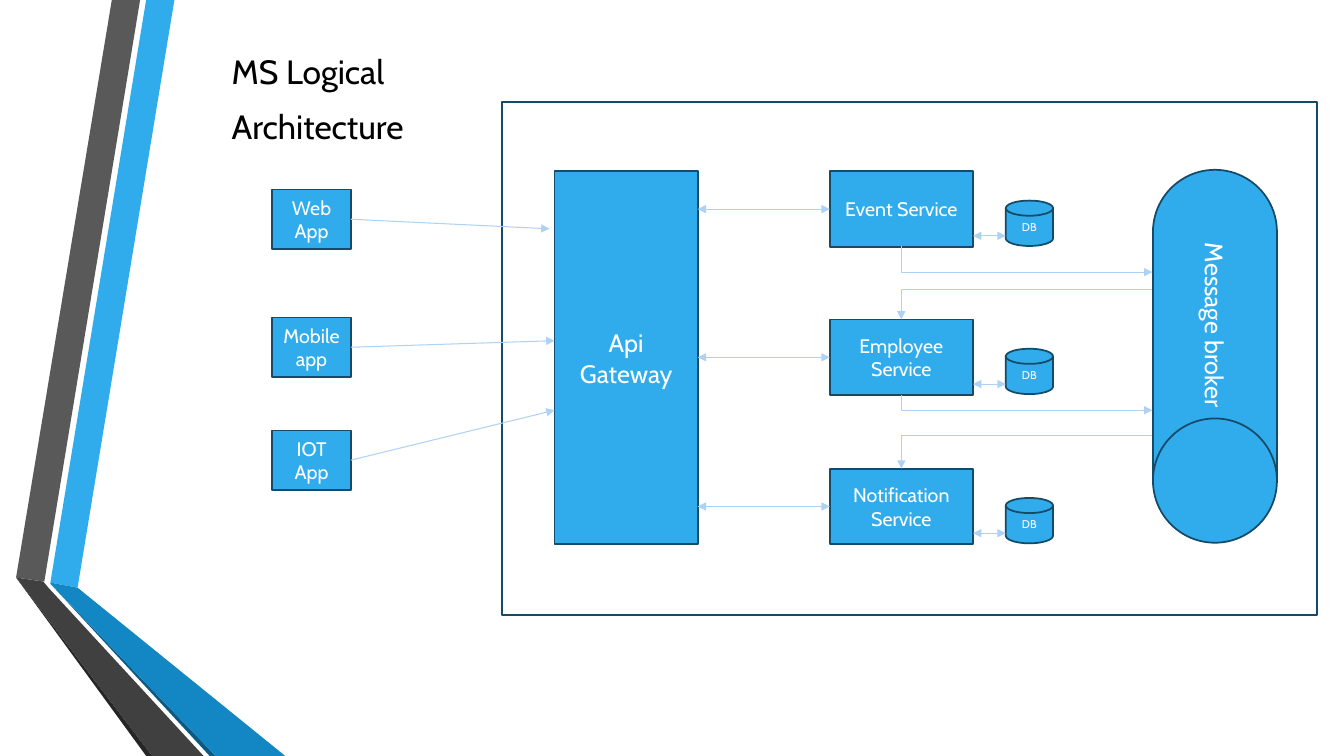
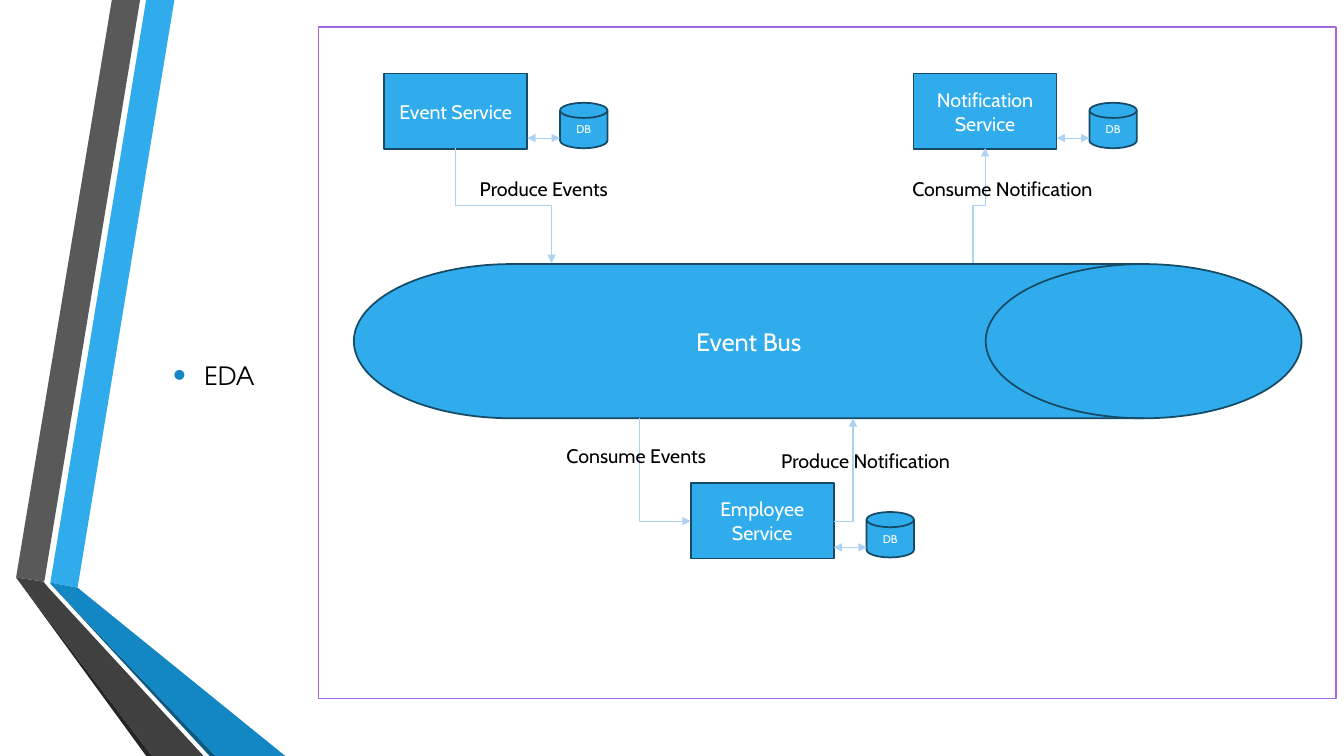
from lxml.etree import SubElement
from pptx import Presentation
from pptx.dml.color import RGBColor
from pptx.enum.shapes import MSO_CONNECTOR, MSO_SHAPE
from pptx.enum.text import MSO_ANCHOR, PP_ALIGN
from pptx.oxml.ns import qn
from pptx.util import Inches, Pt

BLUE = RGBColor(0x30, 0xAC, 0xEC)
MID_BLUE = RGBColor(0x12, 0x87, 0xC3)
DEEP_BLUE = RGBColor(0x0C, 0x5A, 0x82)
OUTLINE = RGBColor(0x15, 0x4B, 0x67)
PALE_BLUE = RGBColor(0xAE, 0xD2, 0xF4)
PURPLE = RGBColor(0xA6, 0x66, 0xE1)
GRAY = RGBColor(0x59, 0x59, 0x59)
DARK_GRAY = RGBColor(0x40, 0x40, 0x40)
CHARCOAL = RGBColor(0x26, 0x26, 0x26)
WHITE = RGBColor(0xFF, 0xFF, 0xFF)
BLACK = RGBColor(0, 0, 0)

FONT = "Cabin"
BODY_FONT = "TeX Gyre Adventor"
SERVICE_SIZE = (1.42, 0.75)
DATABASE_SIZE = (0.47, 0.45)
DATABASE_OFFSET = (1.745, 0.29)
CLIENT_SIZE = (0.78, 0.59)

BANDS = [
    (BLUE, [(0.5, 5.78), (0.77, 5.83), (1.73, 0), (1.45, 0)]),
    (GRAY, [(1.39, 0), (1.11, 0), (0.16, 5.73), (0.44, 5.77)]),
    (CHARCOAL, [(0.16, 5.73), (1.45, 7.5), (1.51, 7.5)]),
    (DEEP_BLUE, [(0.5, 5.79), (2.08, 7.5), (2.14, 7.5)]),
    (MID_BLUE, [(0.5, 5.79), (2.14, 7.5), (2.83, 7.5), (0.77, 5.83), (0.5, 5.78)]),
    (DARK_GRAY, [(2.02, 7.5), (0.48, 5.83), (0.43, 5.77), (0.16, 5.73), (1.51, 7.5)]),
]

TITLE = ["MS Logical", "Architecture"]
SERVICE_LEFT = 8.23
LOGICAL_SERVICES = [("Event Service", 1.7), ("Employee Service", 3.17), ("Notification Service", 4.65)]
GATEWAY = ("Api Gateway", 5.5, 1.7, 1.42, 3.7)
BROKER = ("Message broker", 10.2, 2.92, 3.7, 1.23)
CLIENT_LEFT = 2.7
CLIENTS = [("Web App", 1.88, (5.45, 2.27)), ("Mobile app", 3.15, (5.5, 3.38)), ("IOT App", 4.27, (5.5, 4.07))]
BROKER_EDGE = 11.43
TO_BROKER = [(2.44, 2.7), (3.92, 4.07)]
FROM_BROKER = [(2.87, 3.17), (4.32, 4.65)]

EVENT_SERVICES = [
    ("Event Service", 3.81, 0.73),
    ("Employee Service", 6.85, 4.79),
    ("Notification Service", 9.06, 0.73),
]
EVENT_BUS = ("Event Bus", 3.51, 2.62, 9.4, 1.53)
EVENT_FLOWS = [
    ((4.52, 1.47), (5.47, 2.61), True, 3),
    ((9.65, 2.61), (9.77, 1.47), True, 3),
    ((6.34, 4.15), (6.85, 5.17), True, 2),
    ((8.27, 5.17), (8.46, 4.15), False, 2),
]
FLOW_LABELS = [
    ("Produce Events", 4.66, 1.71, 1.83),
    ("Consume Events", 5.52, 4.36, 2.94),
    ("Produce Notification", 7.65, 4.4, 2.06),
    ("Consume Notification", 8.95, 1.71, 2.07),
]


def write(shape, lines, size=14, color=BLACK, font=FONT, align=PP_ALIGN.LEFT,
          anchor=MSO_ANCHOR.TOP, before=0, after=0, bullet=None):
    frame = shape.text_frame
    frame.word_wrap = True
    frame.vertical_anchor = anchor
    for index, line in enumerate(lines):
        para = frame.add_paragraph() if index else frame.paragraphs[0]
        para.alignment = align
        para.space_before, para.space_after = Pt(before), Pt(after)
        span = para.add_run()
        span.text = line
        span.font.size, span.font.name = Pt(size), font
        span.font.color.rgb = color
        if bullet:
            add_bullet(para, bullet)


def add_bullet(para, color):
    properties = para._p.get_or_add_pPr()
    properties.set("marL", str(Inches(0.31)))
    properties.set("indent", str(Inches(-0.31)))
    SubElement(SubElement(properties, qn("a:buClr")), qn("a:srgbClr"), val=str(color))
    SubElement(properties, qn("a:buSzPct"), val="145000")
    SubElement(properties, qn("a:buFont"), typeface="Arial")
    SubElement(properties, qn("a:buChar"), char="•")


def add_text(page, lines, left, top, width, height, **style):
    box = page.shapes.add_textbox(Inches(left), Inches(top), Inches(width), Inches(height))
    write(box, lines, **style)


def add_block(page, text, left, top, width, height, kind=MSO_SHAPE.RECTANGLE,
              size=14, fill=BLUE, line=OUTLINE, rotation=0):
    block = page.shapes.add_shape(kind, Inches(left), Inches(top), Inches(width), Inches(height))
    block.shadow.inherit = False
    block.rotation = rotation
    block.fill.solid()
    block.fill.fore_color.rgb = fill
    block.line.color.rgb = line
    block.line.width = Pt(1.25)
    if text:
        write(block, [text], size=size, color=WHITE, align=PP_ALIGN.CENTER, anchor=MSO_ANCHOR.MIDDLE)


def add_arrow(page, start, end, kind=MSO_CONNECTOR.STRAIGHT, both=False):
    arrow = page.shapes.add_connector(kind, *(Inches(value) for value in (*start, *end)))
    arrow.line.color.rgb = PALE_BLUE
    arrow.line.width = Pt(0.75)
    outline = arrow.line._get_or_add_ln()
    for tag in ("a:headEnd", "a:tailEnd") if both else ("a:tailEnd",):
        SubElement(outline, qn(tag), type="triangle")
    SubElement(arrow._element.spPr, qn("a:effectLst"))
    return arrow


def add_bend(page, start, end, vertical_first, segments):
    across, down = end[0] - start[0], end[1] - start[1]
    width, height = abs(across), abs(down)
    if vertical_first:
        width, height = height, width
        rotation = 270 if down > 0 else 90
        flips = {"flipH": True, "flipV": (down > 0) == (across < 0)}
    else:
        rotation = 180 if across < 0 else 0
        flips = {"flipV": (across < 0) == (down > 0)}
    left = (start[0] + end[0] - width) / 2
    top = (start[1] + end[1] - height) / 2
    bend = add_arrow(page, (left, top), (left + width, top + height), MSO_CONNECTOR.ELBOW)
    properties = bend._element.spPr
    properties.find(qn("a:prstGeom")).set("prst", f"bentConnector{segments}")
    transform = properties.find(qn("a:xfrm"))
    transform.set("rot", str(rotation * 60000))
    for name, flipped in flips.items():
        if flipped:
            transform.set(name, "1")


def add_service(page, name, left, top):
    add_block(page, name, left, top, *SERVICE_SIZE)
    database_left = left + DATABASE_OFFSET[0]
    add_block(page, "DB", database_left, top + DATABASE_OFFSET[1], *DATABASE_SIZE,
              kind=MSO_SHAPE.FLOWCHART_MAGNETIC_DISK, size=8)
    link = top + 0.64
    add_arrow(page, (left + SERVICE_SIZE[0], link), (database_left, link), both=True)


def add_page(deck):
    page = deck.slides.add_slide(deck.slide_layouts[6])
    for color, points in BANDS:
        corners = [(x * 100, y * 100) for x, y in points]
        builder = page.shapes.build_freeform(*corners[0], scale=Inches(0.01))
        builder.add_line_segments(corners[1:], close=True)
        band = builder.convert_to_shape()
        band.shadow.inherit = False
        band.fill.solid()
        band.fill.fore_color.rgb = color
        band.line.fill.background()
    return page


def build_logical_architecture(deck):
    page = add_page(deck)
    add_block(page, "", 4.98, 1.01, 8.08, 5.09, fill=WHITE)
    add_text(page, TITLE, 2.2, 0.31, 2.56, 1.34, size=24, anchor=MSO_ANCHOR.MIDDLE, before=4.8, after=6)
    add_block(page, *BROKER, kind=MSO_SHAPE.FLOWCHART_DIRECT_ACCESS_STORAGE, size=18, rotation=90)
    add_block(page, *GATEWAY, size=18)
    gateway_edge = GATEWAY[1] + GATEWAY[3]
    for name, top in LOGICAL_SERVICES:
        add_service(page, name, SERVICE_LEFT, top)
        middle = top + SERVICE_SIZE[1] / 2
        add_arrow(page, (gateway_edge, middle), (SERVICE_LEFT, middle), both=True)
    for name, top, target in CLIENTS:
        add_block(page, name, CLIENT_LEFT, top, *CLIENT_SIZE)
        add_arrow(page, (CLIENT_LEFT + CLIENT_SIZE[0], top + CLIENT_SIZE[1] / 2), target)
    center = SERVICE_LEFT + SERVICE_SIZE[0] / 2
    for start, end in TO_BROKER:
        add_bend(page, (center, start), (BROKER_EDGE, end), True, 2)
    for start, end in FROM_BROKER:
        add_bend(page, (BROKER_EDGE, start), (center, end), False, 2)


def build_event_architecture(deck):
    page = add_page(deck)
    add_block(page, "", 3.16, 0.27, 10.09, 6.66, fill=WHITE, line=PURPLE)
    add_text(page, ["EDA"], 1.62, 0.51, 10.96, 6.42, size=18, font=BODY_FONT,
             anchor=MSO_ANCHOR.MIDDLE, before=3.6, after=6, bullet=MID_BLUE)
    for service in EVENT_SERVICES:
        add_service(page, *service)
    add_block(page, *EVENT_BUS, kind=MSO_SHAPE.FLOWCHART_DIRECT_ACCESS_STORAGE, size=18)
    for flow in EVENT_FLOWS:
        add_bend(page, *flow)
    for text, left, top, width in FLOW_LABELS:
        add_text(page, [text], left, top, width, 0.34)


def main():
    deck = Presentation()
    deck.slide_width, deck.slide_height = Inches(13.33), Inches(7.5)
    build_logical_architecture(deck)
    build_event_architecture(deck)
    deck.save("out.pptx")


if __name__ == "__main__":
    main()
